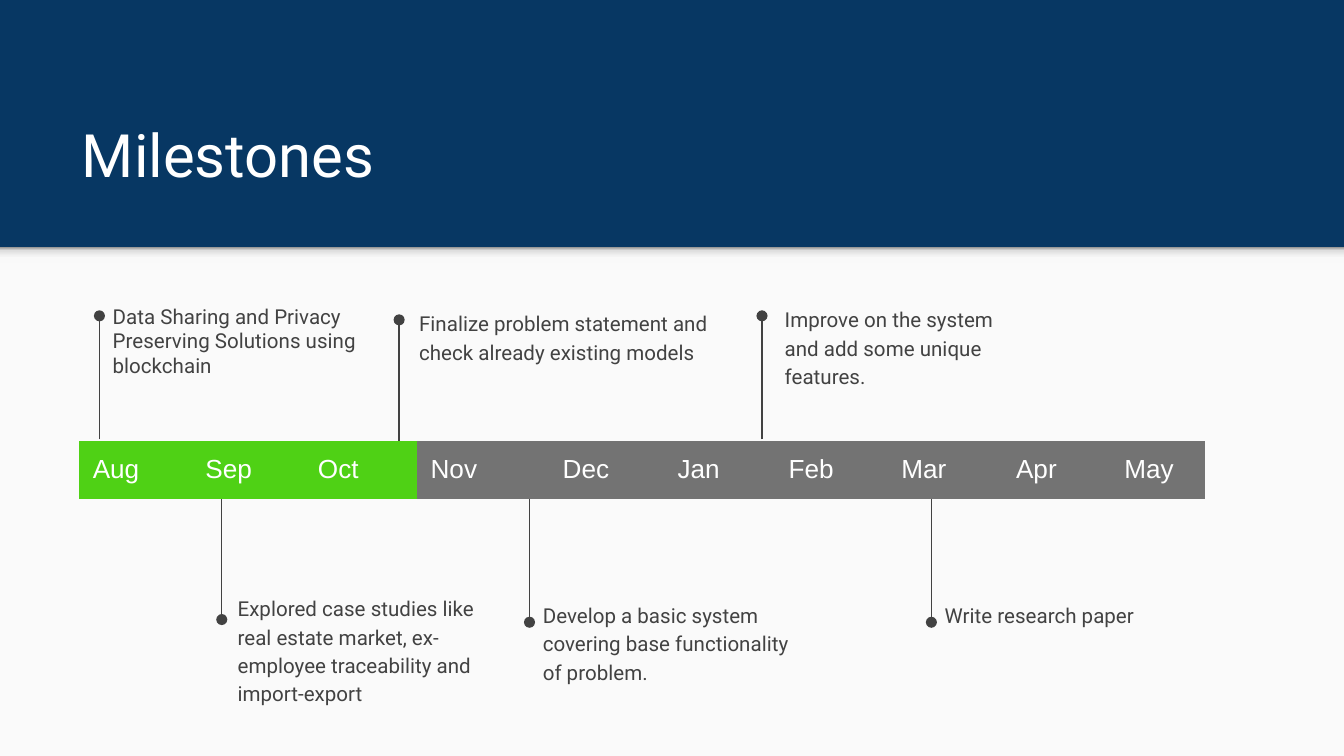
from lxml import etree
from pptx import Presentation
from pptx import util as u
from pptx.dml.color import RGBColor
from pptx.enum import shapes, text
from pptx.oxml import ns

NAVY = RGBColor(0x07, 0x37, 0x63)
PALE = RGBColor(0xFA, 0xFA, 0xFA)
WHITE = RGBColor(0xFF, 0xFF, 0xFF)
INK = RGBColor(0x42, 0x42, 0x42)
GREEN = RGBColor(0x4F, 0xD1, 0x15)
GREY = RGBColor(0x73, 0x73, 0x73)
SHADE = [(0, "F9F9F9"), (36, "F9F9F9"), (80, "DEDEDE"), (100, "999999")]

WIDE = 10
HIGH = WIDE * 9 / 16
BAND = 1.84           # height of the title band
PAD = 0.1             # inset of every text
STEM = 0.92           # length of a milestone line
LEFT, TOP, ROW = 0.59, 3.28, 0.43
COL = 8.38 / 10       # width of a month
NO_GRID = "{2D5ABB26-0587-4C30-8999-92F81FD0307C}"

MONTHS = ["Aug", "Sep", "Oct", "Nov", "Dec",
          "Jan", "Feb", "Mar", "Apr", "May"]
DONE = 3              # months already finished
FLUSH = 4             # months set flush left

# Line x, line start, direction (-1 up, 1 down), text box, spacing, words
MARKS = [
    (0.74, 3.27, -1, (0.74, 2.16, 2.42, 0.7), 1,
     "Data Sharing and Privacy Preserving Solutions using blockchain"),
    (1.65, 3.69, 1, (1.67, 4.31, 2.2, 0.7), 1.15,
     "Explored case studies like real estate market, ex-employee "
     "traceability and import-export"),
    (2.97, 3.3, -1, (3.02, 2.19, 2.42, 0.63), 1.15,
     "Finalize problem statement and check already existing models"),
    (3.94, 3.71, 1, (3.94, 4.36, 2.18, 0.77), 1.15,
     "Develop a basic system covering base functionality of problem."),
    (5.67, 3.27, -1, (5.74, 2.16, 1.92, 0.7), 1.15,
     "Improve on the system and add some unique features."),
    (6.93, 3.71, 1, (6.93, 4.36, 1.98, 0.41), 1.15,
     "Write research paper"),
]


def inch(*vals):
    return [u.Inches(v) for v in vals]


def add_run(para, words, size, color, font="Roboto"):
    run = para.add_run()
    run.text = words
    run.font.size = u.Pt(size)
    run.font.name = font
    run.font.color.rgb = color


def set_frame(frame, anchor=text.MSO_ANCHOR.TOP):
    frame.word_wrap = True
    frame.auto_size = text.MSO_AUTO_SIZE.NONE
    frame.vertical_anchor = anchor
    frame.margin_left = frame.margin_right = u.Inches(PAD)
    frame.margin_top = frame.margin_bottom = u.Inches(PAD)
    return frame.paragraphs[0]


def add_rect(slide, *box):
    rect = slide.shapes.add_shape(shapes.MSO_SHAPE.RECTANGLE, *inch(*box))
    rect.shadow.inherit = False
    rect.line.fill.background()
    return rect


def add_back(slide):
    fill = slide.background.fill
    fill.solid()
    fill.fore_color.rgb = NAVY
    body = add_rect(slide, 0, BAND, WIDE, HIGH - BAND)
    body.fill.solid()
    body.fill.fore_color.rgb = PALE

    # Soft shade under the title band, darkest at the top
    edge = add_rect(slide, 0, BAND, WIDE, 0.12)
    edge.fill.gradient()
    edge.fill.gradient_angle = 90
    stops = edge.fill._fill._gradFill.find(ns.qn("a:gsLst"))
    for stop in list(stops):
        stops.remove(stop)
    for pos, tone in SHADE:
        stop = etree.SubElement(stops, ns.qn("a:gs"), pos=str(pos * 1000))
        etree.SubElement(stop, ns.qn("a:srgbClr"), val=tone)


def add_title(slide):
    title = slide.shapes.title
    title.left, title.top, title.width, title.height = inch(
        0.51, 0.67, 8.99, 0.84)
    para = set_frame(title.text_frame, text.MSO_ANCHOR.BOTTOM)
    para.alignment = text.PP_ALIGN.LEFT
    para.space_after = u.Pt(4)
    add_run(para, "Milestones", 32, WHITE)


def add_stem(slide, x, y, way):
    stem = slide.shapes.add_connector(
        shapes.MSO_CONNECTOR.STRAIGHT, *inch(x, y, x, y + way * STEM))
    stem.line.color.rgb = INK
    stem.line.width = u.Pt(0.75)
    line = stem.line._get_or_add_ln()
    etree.SubElement(line, ns.qn("a:tailEnd"), type="oval")
    etree.SubElement(stem._element.spPr, ns.qn("a:effectLst"))


def add_note(slide, box, space, words):
    note = slide.shapes.add_textbox(*inch(*box))
    para = set_frame(note.text_frame)
    para.line_spacing = space
    add_run(para, words, 11, INK)


def add_months(slide):
    frame = slide.shapes.add_table(
        1, len(MONTHS), *inch(LEFT, TOP, COL * len(MONTHS), ROW))
    table = frame.table
    table._tbl.tblPr.find(ns.qn("a:tableStyleId")).text = NO_GRID
    table.first_row = table.horz_banding = False
    for i, month in enumerate(MONTHS):
        table.columns[i].width = u.Inches(COL)
        cell = table.cell(0, i)
        cell.fill.solid()
        cell.fill.fore_color.rgb = GREEN if i < DONE else GREY
        cell.margin_left = cell.margin_right = u.Inches(PAD)
        cell.margin_top = cell.margin_bottom = u.Inches(PAD)
        para = cell.text_frame.paragraphs[0]
        if i >= FLUSH:
            para.alignment = text.PP_ALIGN.CENTER
        add_run(para, month, 14, WHITE, "Arial")


def main():
    deck = Presentation()
    deck.slide_width, deck.slide_height = inch(WIDE, HIGH)
    slide = deck.slides.add_slide(deck.slide_layouts[5])
    add_back(slide)
    add_title(slide)
    # Milestones, then the month bar over their line ends
    for x, y, way, box, space, words in MARKS:
        add_stem(slide, x, y, way)
        add_note(slide, box, space, words)
    add_months(slide)
    deck.save("out.pptx")


if __name__ == "__main__":
    main()
